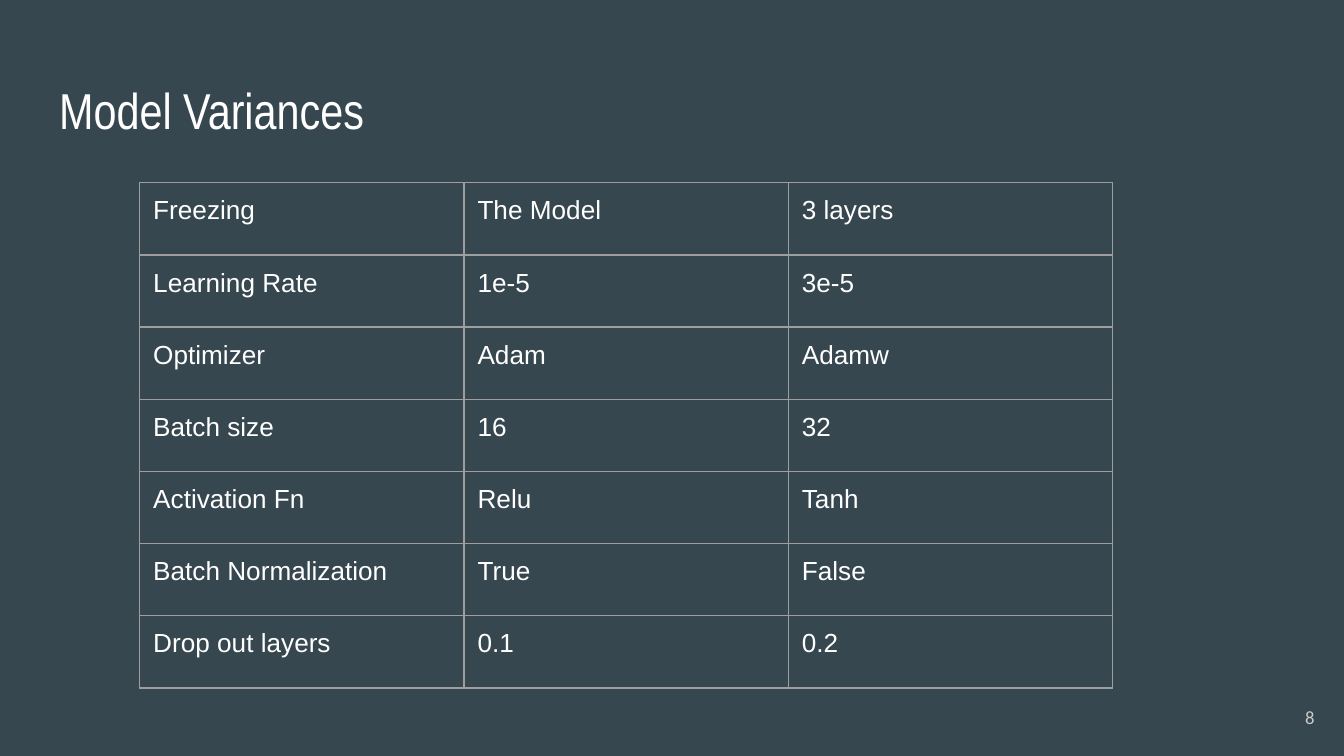
from typing import NamedTuple

from lxml.etree import SubElement
from pptx import Presentation
from pptx.dml.color import RGBColor
from pptx.enum.text import MSO_ANCHOR as Anchor, MSO_AUTO_SIZE as AutoSize, PP_ALIGN as Align
from pptx.oxml.ns import qn
from pptx.util import Inches, Pt


class Box(NamedTuple):
    left: float
    top: float
    width: float
    height: float


class Style(NamedTuple):
    font: str
    size: float
    color: str


class Variance(NamedTuple):
    setting: str
    first: str
    second: str


BACKGROUND = "37474F"
GRID = "9E9E9E"
GRID_WIDTH = 0.75
HEADING = Style("Arial Narrow", 27, "FFFFFF")
CELL = Style("Arial", 14, "FFFFFF")
NUMBER = Style("Calibri", 10, "CACACA")
MARGIN = 0.1

VARIANCES = [
    Variance("Freezing", "The Model", "3 layers"),
    Variance("Learning Rate", "1e-5", "3e-5"),
    Variance("Optimizer", "Adam", "Adamw"),
    Variance("Batch size", "16", "32"),
    Variance("Activation Fn", "Relu", "Tanh"),
    Variance("Batch Normalization", "True", "False"),
    Variance("Drop out layers", "0.1", "0.2"),
]


def color(value: str) -> RGBColor:
    return RGBColor.from_string(value)


def place(shape, box: Box) -> None:
    shape.left, shape.top, shape.width, shape.height = map(Inches, box)


def set_margins(holder) -> None:
    for side in ("left", "top", "right", "bottom"):
        setattr(holder, f"margin_{side}", Inches(MARGIN))


def write(frame, text: str, style: Style, align=Align.LEFT) -> None:
    paragraph = frame.paragraphs[0]
    paragraph.alignment = align
    run = paragraph.add_run()
    run.text = text
    run.font.name = style.font
    run.font.size = Pt(style.size)
    run.font.bold = False
    run.font.color.rgb = color(style.color)


def fill_frame(shape, text: str, style: Style, anchor, align=Align.LEFT) -> None:
    frame = shape.text_frame
    frame.word_wrap = True
    frame.auto_size = AutoSize.NONE
    frame.vertical_anchor = anchor
    set_margins(frame)
    write(frame, text, style, align)


def draw_borders(cell) -> None:
    properties = cell._tc.get_or_add_tcPr()
    for edge in ("a:lnL", "a:lnR", "a:lnT", "a:lnB"):
        line = SubElement(properties, qn(edge), w=str(Pt(GRID_WIDTH)))
        solid = SubElement(line, qn("a:solidFill"))
        SubElement(solid, qn("a:srgbClr"), val=GRID)


def draw_variances(slide, box: Box, variances: list[Variance]) -> None:
    columns = len(Variance._fields)
    table = slide.shapes.add_table(len(variances), columns, *map(Inches, box)).table
    table.first_row = False
    table.horz_banding = False
    for row, variance in zip(table.rows, variances):
        for cell, text in zip(row.cells, variance):
            set_margins(cell)
            draw_borders(cell)
            cell.fill.background()
            write(cell.text_frame, text, CELL)


def main() -> None:
    deck = Presentation()
    deck.slide_width = Inches(10)
    deck.slide_height = deck.slide_width * 9 // 16
    slide = deck.slides.add_slide(deck.slide_layouts[5])
    slide.background.fill.solid()
    slide.background.fill.fore_color.rgb = color(BACKGROUND)

    heading = slide.shapes.title
    place(heading, Box(0.34, 0.49, 9.32, 0.63))
    fill_frame(heading, "Model Variances", HEADING, Anchor.TOP)

    draw_variances(slide, Box(1.04, 1.36, 7.24, 3.76), VARIANCES)

    page_number = slide.shapes.add_textbox(*map(Inches, Box(9.28, 5.12, 0.6, 0.43)))
    fill_frame(page_number, "8", NUMBER, Anchor.MIDDLE, Align.RIGHT)

    deck.save("out.pptx")


if __name__ == "__main__":
    main()
